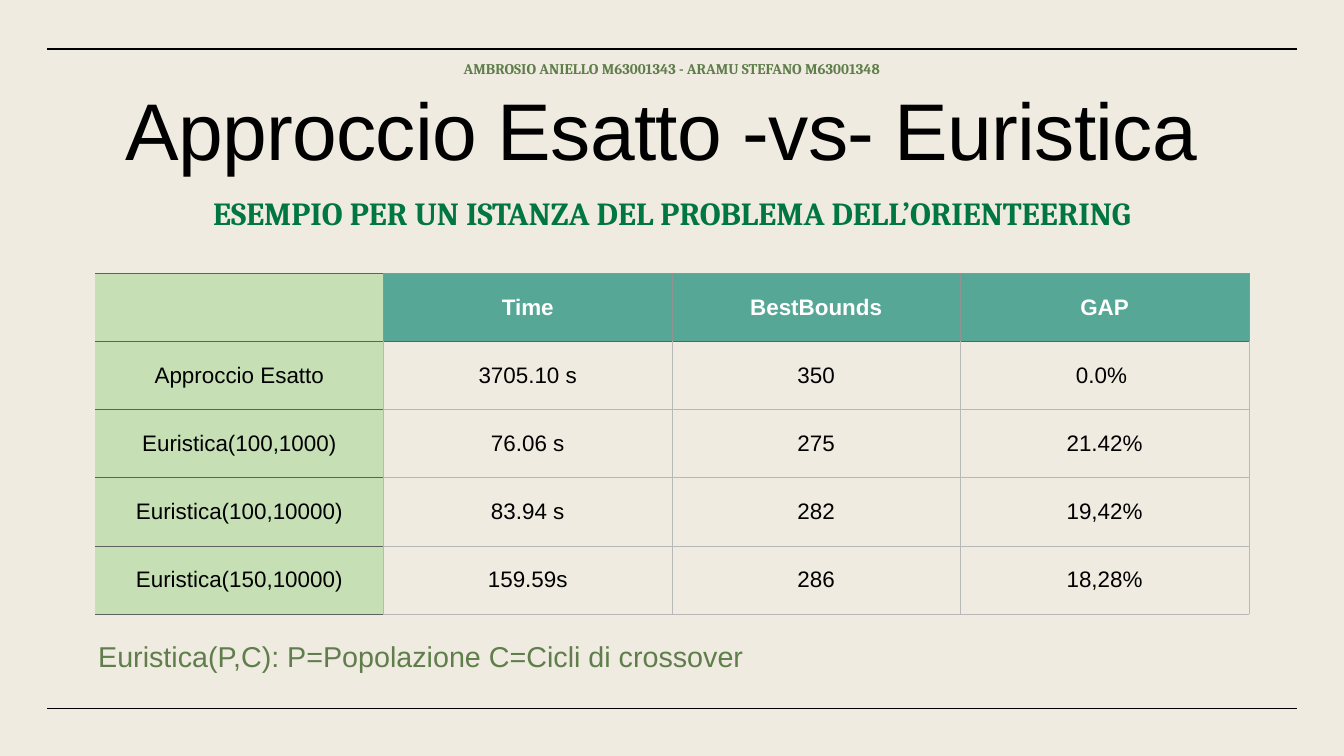
from dataclasses import dataclass

from lxml import etree
from pptx import Presentation
from pptx.dml.color import RGBColor
from pptx.enum.shapes import MSO_CONNECTOR
from pptx.enum.text import MSO_ANCHOR, PP_ALIGN
from pptx.oxml.ns import qn
from pptx.util import Inches, Pt

LEFT, MID, JUST = PP_ALIGN.LEFT, PP_ALIGN.CENTER, PP_ALIGN.JUSTIFY
TOP, CORE = MSO_ANCHOR.TOP, MSO_ANCHOR.MIDDLE
STRAIGHT = MSO_CONNECTOR.STRAIGHT


@dataclass(frozen=True)
class Theme:
    wide: float = 26.67
    high: float = 15
    pad: float = 0.06
    sans: str = "Arial"
    serif: str = "Cambria"
    paper: str = "F0EBE0"
    ink: str = "000000"
    white: str = "FFFFFF"
    moss: str = "5F7E4B"
    green: str = "007742"
    teal: str = "57A797"
    mint: str = "C6DFB5"
    dark: str = "606060"
    grey: str = "929292"
    pale: str = "B8B8B8"
    title: float = 114.8
    lead: float = 46
    note: float = 41
    cell: float = 32
    small: float = 21.2


T = Theme()


@dataclass(frozen=True)
class Area:
    """A box in percent of the slide's width and height."""
    x: float
    y: float
    w: float
    h: float

    def box(self) -> tuple:
        return across(self.x), down(self.y), across(self.w), down(self.h)


@dataclass(frozen=True)
class Label:
    text: str
    area: Area
    size: float
    font: str
    color: str
    bold: bool = False
    align: PP_ALIGN = MID
    anchor: MSO_ANCHOR = TOP
    lines: float = 1
    before: float = 0
    track: int = 0


@dataclass(frozen=True)
class Rule:
    y: float
    width: float


EDGE, SIDE = 3.53, 7.08
BODY = 100 - 2 * SIDE

RULES = [Rule(6.47, 4), Rule(93.73, 1)]
LABELS = [
    Label("Approccio Esatto -vs- Euristica ", Area(SIDE, 12.67, BODY, 15.4),
          T.title, T.sans, T.ink, lines=0.8, track=-110),
    Label("AMBROSIO ANIELLO M63001343 - ARAMU STEFANO M63001348",
          Area(SIDE, 7.33, BODY, 3.53), T.small, T.serif, T.moss,
          bold=True, anchor=CORE),
    Label("ESEMPIO PER UN ISTANZA DEL PROBLEMA DELL’ORIENTEERING",
          Area(0, 25.2, 100, 15.4), T.lead, T.serif, T.green, bold=True),
    Label("Euristica(P,C): P=Popolazione C=Cicli di crossover",
          Area(SIDE, 82.87, BODY, 7.87), T.note, T.sans, T.moss,
          align=JUST, anchor=CORE, before=24),
]
GRID = Area(SIDE, 36.2, BODY, 45)
ROWS = [
    ["", "Time", "BestBounds", "GAP"],
    ["Approccio Esatto", "3705.10 s", "350", "0.0% "],
    ["Euristica(100,1000)", "76.06 s", "275", "21.42%"],
    ["Euristica(100,10000)", "83.94 s", "282", "19,42%"],
    ["Euristica(150,10000)", "159.59s", "286", "18,28%"],
]


def across(share: float) -> int:
    return Inches(T.wide * share / 100)


def down(share: float) -> int:
    return Inches(T.high * share / 100)


def rgb(color: str) -> RGBColor:
    return RGBColor.from_string(color)


def write(para, text: str, size: float, font: str, color: str, bold: bool):
    run = para.add_run()
    run.text = text
    face = run.font
    face.size, face.name, face.bold = Pt(size), font, bold
    face.color.rgb = rgb(color)
    return run


def inset(item) -> None:
    item.margin_left = item.margin_right = Inches(T.pad)
    item.margin_top = item.margin_bottom = Inches(T.pad)


def draw_rule(slide, rule: Rule) -> None:
    y = down(rule.y)
    line = slide.shapes.add_connector(
        STRAIGHT, across(EDGE), y, across(100 - EDGE), y)
    line.line.color.rgb = rgb(T.ink)
    line.line.width = Pt(rule.width)
    etree.SubElement(line.element.spPr, qn("a:effectLst"))


def draw_label(slide, label: Label) -> None:
    frame = slide.shapes.add_textbox(*label.area.box()).text_frame
    frame.word_wrap = True
    frame.vertical_anchor = label.anchor
    inset(frame)
    para = frame.paragraphs[0]
    para.alignment = label.align
    para.line_spacing = label.lines
    para.space_before = Pt(label.before)
    run = write(para, label.text, label.size, label.font, label.color,
                label.bold)
    if label.track:
        run.font._element.set("spc", str(label.track))


def set_edges(cell, edges: dict[str, str | None]) -> None:
    """Put one-point borders ahead of the cell's fill; None hides a side."""
    props = cell._tc.get_or_add_tcPr()
    for spot, side in enumerate("LRTB"):
        color = edges[side]
        line = etree.Element(qn(f"a:ln{side}"), w=str(Pt(1)))
        kind = "a:solidFill" if color else "a:noFill"
        fill = etree.SubElement(line, qn(kind))
        if color:
            etree.SubElement(fill, qn("a:srgbClr"), val=color)
        props.insert(spot, line)


def style(row: int, col: int) -> tuple[str, str, dict[str, str | None]]:
    """Return fill, text colour and borders for a place in the table."""
    if col == 0:
        return T.mint, T.ink, {
            "L": None, "R": T.pale, "T": T.dark, "B": T.dark}
    if row == 0:
        return T.teal, T.white, {
            "L": T.grey, "R": T.grey, "T": T.grey, "B": T.dark}
    top = T.dark if row == 1 else T.pale
    return T.paper, T.ink, {"L": T.pale, "R": T.pale, "T": top, "B": T.pale}


def draw_table(slide, area: Area, rows: list[list[str]]) -> None:
    table = slide.shapes.add_table(
        len(rows), len(rows[0]), *area.box()).table
    table.horz_banding = False
    for row, texts in enumerate(rows):
        table.rows[row].height = down(area.h / len(rows))
        for col, text in enumerate(texts):
            fill, color, edges = style(row, col)
            cell = table.cell(row, col)
            cell.fill.solid()
            cell.fill.fore_color.rgb = rgb(fill)
            set_edges(cell, edges)
            cell.vertical_anchor = CORE
            inset(cell)
            if text:
                para = cell.text_frame.paragraphs[0]
                para.alignment = MID
                para.space_before = Pt(10)
                write(para, text, T.cell, T.sans, color, row == 0)


def main() -> None:
    deck = Presentation()
    deck.slide_width, deck.slide_height = Inches(T.wide), Inches(T.high)
    slide = deck.slides.add_slide(deck.slide_layouts[6])
    slide.background.fill.solid()
    slide.background.fill.fore_color.rgb = rgb(T.paper)
    for rule in RULES:
        draw_rule(slide, rule)
    for label in LABELS:
        draw_label(slide, label)
    draw_table(slide, GRID, ROWS)
    deck.save("out.pptx")


if __name__ == "__main__":
    main()
